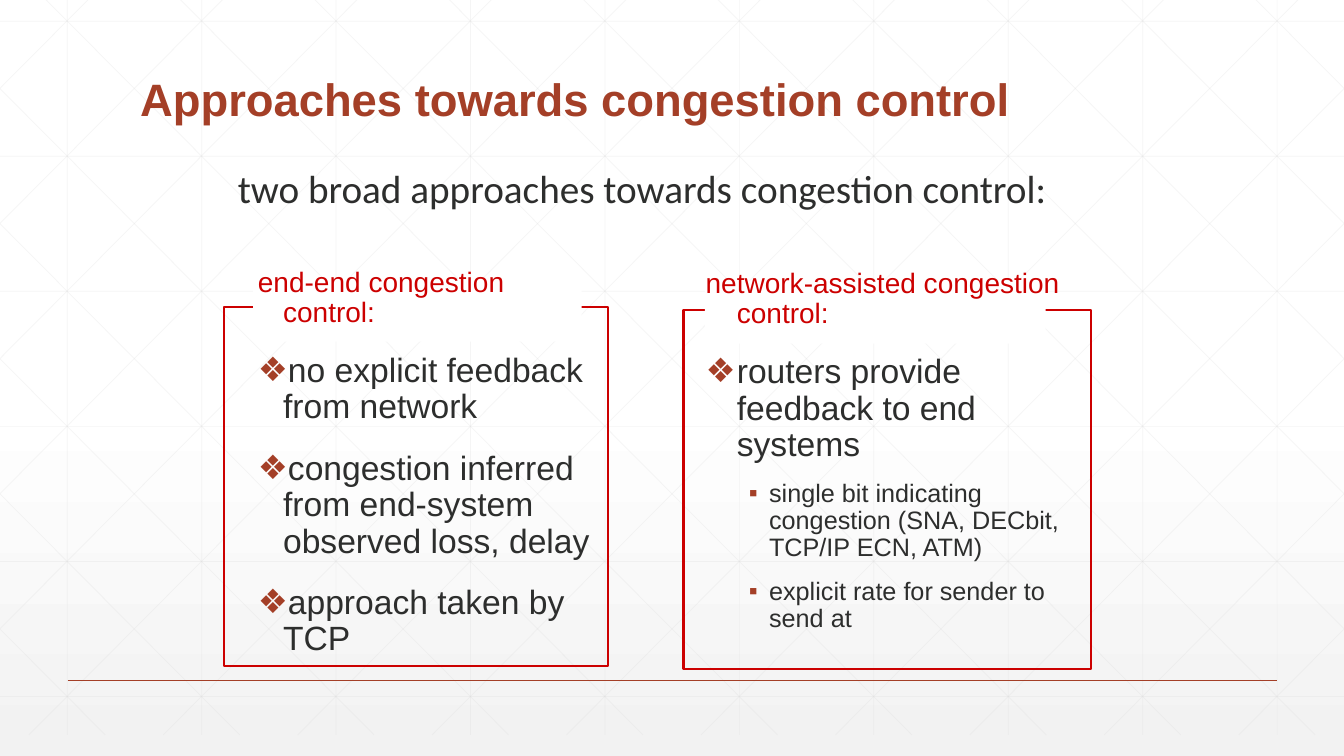
from lxml import etree
from pptx import Presentation
from pptx.dml.color import RGBColor
from pptx.enum.shapes import MSO_CONNECTOR, MSO_SHAPE
from pptx.enum.text import MSO_ANCHOR, PP_ALIGN
from pptx.oxml.ns import qn
from pptx.util import Inches, Pt

STRAIGHT, RECTANGLE = MSO_CONNECTOR.STRAIGHT, MSO_SHAPE.RECTANGLE
TOP, BOTTOM, LEFT = MSO_ANCHOR.TOP, MSO_ANCHOR.BOTTOM, PP_ALIGN.LEFT
RUST = RGBColor(0xA4, 0x3F, 0x27)
RED = RGBColor(0xCC, 0x00, 0x00)
INK = RGBColor(0x2D, 0x2E, 0x2D)
WHITE = RGBColor(0xFF, 0xFF, 0xFF)
PALE = RGBColor(0xF2, 0xF2, 0xF2)
GRID = RGBColor(0xD9, 0xD9, 0xD9)

# Content
TITLE = "Approaches towards congestion control"
INTRO = "two broad approaches towards congestion control:"
COLUMNS = [
    {"frame": (2.22, 3.05, 3.81, 3.56), "gap": (2.51, 2.77, 3.26, 0.62),
     "text": (2.46, 2.61, 3.6, 4.17), "indent": 0.25,
     "items": [("heading", "end-end congestion control:"),
               ("point", "no explicit feedback from network"),
               ("point", "congestion inferred from end-system observed loss, delay"),
               ("point", "approach taken by TCP")]},
    {"frame": (6.78, 3.08, 4.04, 3.56), "gap": (6.99, 2.79, 3.38, 0.62),
     "text": (6.9, 2.62, 3.88, 4.27), "indent": 0.31,
     "items": [("heading", "network-assisted congestion control:"),
               ("point", "routers provide feedback to end systems"),
               ("detail", "single bit indicating congestion (SNA, DECbit, TCP/IP ECN, ATM)"),
               ("detail", "explicit rate for sender to send at")]},
]
# Format values by kind of paragraph
FONTS = {
    "title": {"size": Pt(32.4), "name": "Arial", "bold": True},
    "intro": {"size": Pt(28), "name": "Calibri"},
    "heading": {"size": Pt(20), "name": "Arial"},
    "point": {"size": Pt(24), "name": "Arial"},
    "detail": {"size": Pt(18), "name": "Arial"},
}
COLORS = {"title": RUST, "intro": INK, "heading": RED, "point": INK, "detail": INK}
SPACING = {"title": (0.9, 0), "intro": (0.85, 5.6), "heading": (0.9, 18),
           "point": (0.9, 18), "detail": (0.9, 12)}
BULLETS = {"point": "\u2756", "detail": "\u25aa"}
DETAIL_INDENT = (0.63, 0.2)

# Background lattice, in inches
WIDTH, HEIGHT = 13.33, 7.5
STEP = 4 / 3
LATTICE_TOP, LATTICE_BOTTOM = -0.21, 7.29
RUN = 7.46  # horizontal reach of a full diagonal

deck = Presentation()
deck.slide_width, deck.slide_height = Inches(WIDTH), Inches(HEIGHT)
slide = deck.slides.add_slide(deck.slide_layouts[5])
shapes = slide.shapes


def add_line(start, end, color, width, opacity=100):
    line = shapes.add_connector(STRAIGHT, *map(Inches, start + end))
    line.line.color.rgb = color
    line.line.width = Pt(width)
    etree.SubElement(line._element.spPr, qn("a:effectLst"))
    if opacity < 100:
        tint = line._element.spPr.find(".//" + qn("a:srgbClr"))
        etree.SubElement(tint, qn("a:alpha"), val=str(opacity * 1000))


def add_diagonal(start, run):
    """Draw a lattice diagonal, cut off at the slide's sides."""
    low, high = sorted((-start / run, (WIDTH - start) / run))
    ends = [(start + run * share, LATTICE_TOP + HEIGHT * share)
            for share in (max(0, low), min(1, high))]
    add_line(*ends, GRID, 0.5, 25)


def add_box(place, fill=None, line=None):
    box = shapes.add_shape(RECTANGLE, *map(Inches, place))
    box.shadow.inherit = False
    if fill is None:
        box.fill.background()
    else:
        box.fill.solid()
        box.fill.fore_color.rgb = fill
    if line is None:
        box.line.fill.background()
    else:
        box.line.color.rgb = line
        box.line.width = Pt(1.5)


def write(box, items, indent=0, anchor=TOP):
    frame = box.text_frame
    frame.word_wrap, frame.vertical_anchor = True, anchor
    for index, (kind, text) in enumerate(items):
        para = frame.add_paragraph() if index else frame.paragraphs[0]
        para.alignment = LEFT
        para.line_spacing = SPACING[kind][0]
        para.space_before = Pt(SPACING[kind][1])
        span = para.add_run()
        span.text = text
        for name, value in FONTS[kind].items():
            setattr(span.font, name, value)
        span.font.color.rgb = COLORS[kind]
        # Hanging indent and bullet
        margin, hang = DETAIL_INDENT if kind == "detail" else (indent, indent)
        props = para._p.get_or_add_pPr()
        props.set("marL", str(Inches(margin)))
        props.set("indent", str(-Inches(hang)))
        if kind == "detail":
            para.level = 1
        if kind in BULLETS:
            color = etree.SubElement(props, qn("a:buClr"))
            etree.SubElement(color, qn("a:srgbClr"), val=str(RUST))
            etree.SubElement(props, qn("a:buFont"), typeface="Arial")
            etree.SubElement(props, qn("a:buChar"), char=BULLETS[kind])
        else:
            etree.SubElement(props, qn("a:buNone"))


# Background gradient, white at the top
fill = slide.background.fill
fill.gradient()
fill.gradient_angle = 270
for stop, (color, position) in zip(fill.gradient_stops, [(WHITE, 0.53), (PALE, 1)]):
    stop.color.rgb, stop.position = color, position

# Lattice and footer rule
for column in range(10):
    x = (column + 0.5) * STEP
    add_line((x, LATTICE_TOP), (x, LATTICE_BOTTOM), GRID, 0.5, 25)
for row in range(6):
    y = 0.21 + row * 1.34
    add_line((0, y), (WIDTH, y), GRID, 0.5, 25)
for column in range(-5, 10):
    offset = 0.25 + column * STEP
    add_diagonal(offset, RUN)
    add_diagonal(WIDTH - offset, -RUN)
add_line((0.67, 6.75), (12.67, 6.75), RUST, 1)

# Title, moved in front of the lattice
title = shapes.title
title.left, title.top, title.width, title.height = map(Inches, (1.29, 0.3, 9.4, 1))
shapes._spTree.append(title._element)
write(title, [("title", TITLE)], anchor=BOTTOM)

# Introduction
intro = shapes.add_textbox(*map(Inches, (2.26, 1.65, 8.92, 0.6)))
write(intro, [("intro", INTRO)], indent=0.38)

# Two framed columns, each heading breaking the frame's top edge
for column in COLUMNS:
    add_box(column["frame"], line=RED)
    add_box(column["gap"], fill=WHITE)
    body = shapes.add_textbox(*map(Inches, column["text"]))
    write(body, column["items"], column["indent"])

deck.save("out.pptx")
